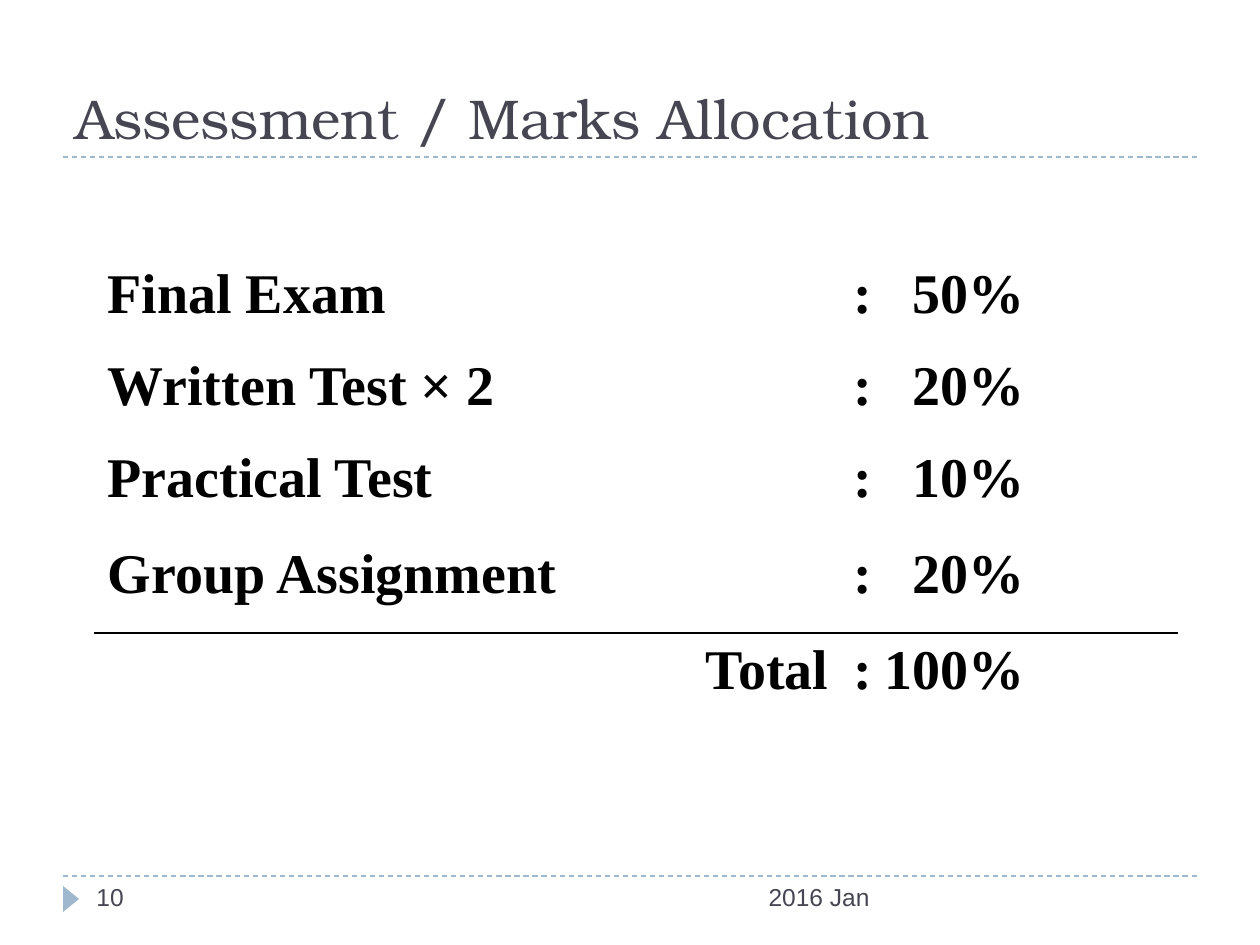
from dataclasses import dataclass

from lxml.etree import SubElement
from pptx import Presentation
from pptx.dml.color import RGBColor
from pptx.enum.dml import MSO_LINE
from pptx.enum.shapes import MSO_CONNECTOR, MSO_SHAPE
from pptx.enum.text import MSO_ANCHOR, PP_ALIGN
from pptx.oxml import parse_xml
from pptx.oxml.ns import nsdecls, qn
from pptx.util import Emu, Pt


@dataclass(frozen=True)
class Theme:
    accent: str = "9FB8CD"
    heading: str = "464653"
    ink: str = "000000"
    title_font: str = "TeX Gyre Bonum"
    table_font: str = "Times New Roman"
    footer_font: str = "Arial"
    large: int = 32
    small: int = 14
    rule: float = 0.75
    total_rule: float = 1.47


def px(n):
    """Convert pixels, at 126 to the inch, to EMU."""
    return Emu(round(n * 914400 / 126))


class SlideBuilder:
    def __init__(self, slide, theme):
        self.s = slide
        self.theme = theme

    def style(self, p, font, size, color, bold=False, align=PP_ALIGN.LEFT):
        p.alignment = align
        for r in p.runs:
            r.font.name = font
            r.font.size = Pt(size)
            r.font.bold = bold
            r.font.color.rgb = RGBColor.from_string(color)

    def text(self, words, x, y, w, h, font, size,
             align=PP_ALIGN.LEFT, anchor=MSO_ANCHOR.TOP):
        tf = self.s.shapes.add_textbox(px(x), px(y), px(w), px(h)).text_frame
        tf.word_wrap = True
        tf.vertical_anchor = anchor
        tf.text = words
        self.style(tf.paragraphs[0], font, size, self.theme.heading, align=align)

    def dashed_rule(self, x1, x2, y):
        line = self.s.shapes.add_connector(
            MSO_CONNECTOR.STRAIGHT, px(x1), px(y), px(x2), px(y))
        line.line.color.rgb = RGBColor.from_string(self.theme.accent)
        line.line.width = Pt(self.theme.rule)
        line.line.dash_style = MSO_LINE.DASH
        SubElement(line._element.spPr, qn("a:effectLst"))

    def marker(self, x, y, w, h):
        """Add a triangle that points right."""
        sp = self.s.shapes.add_shape(
            MSO_SHAPE.ISOSCELES_TRIANGLE, px(x), px(y), px(w), px(h))
        sp.rotation = 90
        sp.shadow.inherit = False
        sp.fill.solid()
        sp.fill.fore_color.rgb = RGBColor.from_string(self.theme.accent)
        sp.line.fill.background()

    def border(self, cell, side):
        """Draw the total rule on one side of a cell: T or B."""
        t = self.theme
        cell._tc.get_or_add_tcPr().insert(0, parse_xml(
            f'<a:ln{side} {nsdecls("a")} w="{Pt(t.total_rule)}"><a:solidFill>'
            f'<a:srgbClr val="{t.ink}"/></a:solidFill></a:ln{side}>'))

    def marks_table(self, marks, x, y, widths, heights, mark_margin):
        t = self.theme
        table = self.s.shapes.add_table(
            len(marks), len(widths), px(x), px(y),
            px(sum(widths)), px(sum(heights))).table
        table.first_row = table.horz_banding = False
        for column, w in zip(table.columns, widths):
            column.width = px(w)
        total = len(marks) - 1
        for i, (name, mark) in enumerate(marks):
            table.rows[i].height = px(heights[i])
            name_align = PP_ALIGN.RIGHT if i == total else PP_ALIGN.LEFT
            aligns = (name_align, PP_ALIGN.LEFT, PP_ALIGN.RIGHT)
            for j, words in enumerate((name, ":", mark)):
                cell = table.cell(i, j)
                cell.fill.background()
                cell.text = words
                self.style(cell.text_frame.paragraphs[0], t.table_font,
                           t.large, t.ink, True, aligns[j])
                if i == total - 1:
                    self.border(cell, "B")
                elif i == total:
                    self.border(cell, "T")
            table.cell(i, 2).margin_right = px(mark_margin)


def main():
    prs = Presentation()
    prs.slide_width, prs.slide_height = px(1260), px(945)
    theme = Theme()
    b = SlideBuilder(prs.slides.add_slide(prs.slide_layouts[6]), theme)

    for y in (876, 157):
        b.dashed_rule(63, 1197, y)
    b.marker(58, 891, 26, 16)
    b.text("Assessment / Marks Allocation", 63, 38, 1134, 119,
           theme.title_font, theme.large, anchor=MSO_ANCHOR.BOTTOM)

    marks = [
        ("Final Exam", "50%"),
        ("Written Test × 2", "20%"),
        ("Practical Test", "10%"),
        ("Group Assignment", "20%"),
        ("Total", "100%"),
    ]
    b.marks_table(marks, 95, 257, widths=(746, 31, 305),
                  heights=(92, 92, 96, 96, 92), mark_margin=152)

    b.text("2016 Jan", 399, 876, 483, 50, theme.footer_font, theme.small,
           align=PP_ALIGN.RIGHT)
    b.text("10", 84, 876, 273, 50, theme.footer_font, theme.small)
    prs.save("out.pptx")


if __name__ == "__main__":
    main()
